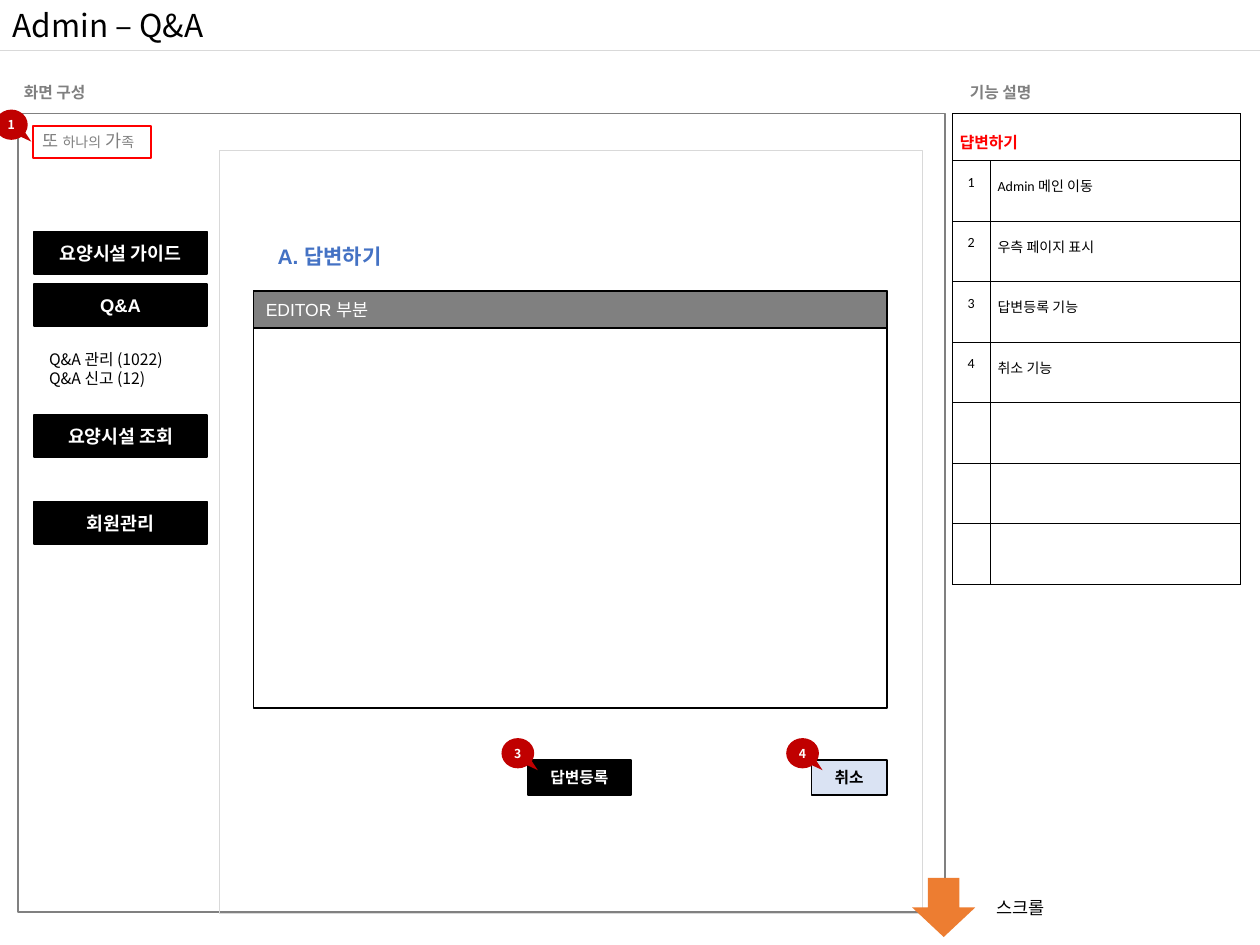
import pptx
import pptx.util
from lxml import etree
from pptx.dml.color import RGBColor
from pptx.enum.shapes import MSO_CONNECTOR, MSO_SHAPE
from pptx.enum.text import MSO_ANCHOR, MSO_AUTO_SIZE, PP_ALIGN
from pptx.oxml.ns import qn

Cm, Pt = pptx.util.Cm, pptx.util.Pt

BLACK = RGBColor(0x00, 0x00, 0x00)
WHITE = RGBColor(0xFF, 0xFF, 0xFF)
GRAY = RGBColor(0x80, 0x80, 0x80)
PALE_GRAY = RGBColor(0xD9, 0xD9, 0xD9)
RED = RGBColor(0xFF, 0x00, 0x00)
DARK_RED = RGBColor(0xC0, 0x00, 0x00)
BLUE = RGBColor(0x44, 0x72, 0xC4)
PALE_BLUE = RGBColor(0xDA, 0xE3, 0xF3)
ORANGE = RGBColor(0xED, 0x7D, 0x31)
KOREAN = "Noto Sans CJK KR"

# Content; all lengths are centimetres
TITLE = "Admin – Q&A"
SECTIONS = [("화면 구성", 0.23), ("기능 설명", 19.3)]
SLOGAN = [("또 ", 10), ("하나의", 8), (" 가", 10), ("족", 8)]
MENU = [("요양시설 가이드", 4.67), ("Q&A", 5.72), ("요양시설 조회", 8.36), ("회원관리", 10.11)]
SUBMENU = ["Q&A 관리 (1022)", "Q&A 신고 (12)"]
BUTTONS = [("답변등록", 10.64, 2.08, BLACK, WHITE), ("취소", 16.36, 1.52, PALE_BLUE, BLACK)]
MARKERS = [("1", -0.1, 2.21), ("3", 10.11, 14.88), ("4", 15.85, 14.88)]
TABLE_HEAD = "댭변하기"
FUNCTIONS = ["Admin 메인 이동", "우측 페이지 표시", "답변등록 기능", "취소 기능", "", "", ""]
EDITOR_LEFT, EDITOR_TOP, EDITOR_WIDTH = 5.11, 5.87, 12.78


def write(frame, paragraphs, size=9, font="Calibri", color=BLACK, bold=False,
          align=PP_ALIGN.LEFT, spacing=None):
    """Fill a text frame; a paragraph is a string or a list of (text, size)."""
    if isinstance(paragraphs, str):
        paragraphs = [paragraphs]
    for index, content in enumerate(paragraphs):
        para = frame.add_paragraph() if index else frame.paragraphs[0]
        para.alignment = align
        if spacing:
            para.line_spacing = spacing
        spans = [(content, size)] if isinstance(content, str) else content
        for words, points in spans:
            span = para.add_run()
            span.text = words
            span.font.size = Pt(points)
            span.font.name = font
            span.font.bold = bold
            span.font.color.rgb = color
            east_asian = etree.SubElement(span.font._element, qn("a:ea"))
            east_asian.set("typeface", KOREAN)


def add_label(page, paragraphs, left, top, width, height, wrap=False, **style):
    box = page.shapes.add_textbox(Cm(left), Cm(top), Cm(width), Cm(height))
    box.text_frame.word_wrap = wrap
    box.text_frame.auto_size = MSO_AUTO_SIZE.SHAPE_TO_FIT_TEXT
    write(box.text_frame, paragraphs, **style)


def add_block(page, left, top, width, height, fill=None, line=None, weight=1,
              kind=MSO_SHAPE.RECTANGLE, text=None, **style):
    shape = page.shapes.add_shape(kind, Cm(left), Cm(top), Cm(width), Cm(height))
    shape.shadow.inherit = False
    if fill is None:
        shape.fill.background()
    else:
        shape.fill.solid()
        shape.fill.fore_color.rgb = fill
    if line is None:
        shape.line.fill.background()
    else:
        shape.line.color.rgb = line
        shape.line.width = Pt(weight)
    if text:
        shape.text_frame.vertical_anchor = MSO_ANCHOR.MIDDLE
        write(shape.text_frame, text, **{"align": PP_ALIGN.CENTER, **style})
    return shape


def format_cell(cell):
    cell.fill.solid()
    cell.fill.fore_color.rgb = WHITE
    cell.margin_left = cell.margin_right = Cm(0.15)
    cell.margin_top = cell.margin_bottom = Cm(0.1)
    properties = cell._tc.get_or_add_tcPr()
    for position, side in enumerate(("lnL", "lnR", "lnT", "lnB")):
        border = etree.Element(qn("a:" + side), w=str(Pt(0.25)))
        solid = etree.SubElement(border, qn("a:solidFill"))
        etree.SubElement(solid, qn("a:srgbClr"), val=str(BLACK))
        properties.insert(position, border)


def add_function_table(page):
    count = len(FUNCTIONS) + 1
    table = page.shapes.add_table(count, 2, Cm(19.2), Cm(2.29), Cm(5.81), Cm(9.48)).table
    table.columns[0].width, table.columns[1].width = Cm(0.76), Cm(5.05)
    for index, row in enumerate(table.rows):
        row.height = Cm(1.22 if index else 0.94)
        for cell in row.cells:
            format_cell(cell)
    head = table.cell(0, 0)
    head.merge(table.cell(0, 1))
    write(head.text_frame, TABLE_HEAD, color=RED, bold=True, spacing=1.5)
    for number, words in enumerate(FUNCTIONS, 1):
        if words:
            write(table.cell(number, 0).text_frame, str(number), size=8,
                  align=PP_ALIGN.CENTER, spacing=1.5)
            write(table.cell(number, 1).text_frame, words, size=8, spacing=1.5)


def main():
    deck = pptx.Presentation()
    deck.slide_width, deck.slide_height = Cm(25.4), Cm(19.05)
    page = deck.slides.add_slide(deck.slide_layouts[5])

    # Title and rule
    title = page.shapes.title
    title.left, title.top, title.width, title.height = Cm(0), Cm(0), Cm(11.25), Cm(1.02)
    title.text_frame.auto_size = MSO_AUTO_SIZE.NONE
    title.text_frame.vertical_anchor = MSO_ANCHOR.MIDDLE
    write(title.text_frame, TITLE, size=18, font=KOREAN)
    rule = page.shapes.add_connector(MSO_CONNECTOR.STRAIGHT, Cm(0), Cm(1.02), Cm(25.4), Cm(1.02))
    rule.line.color.rgb = PALE_GRAY
    rule.line.width = Pt(0.5)
    etree.SubElement(rule._element.spPr, qn("a:effectLst"))

    # Screen frame and section labels
    add_block(page, 0.36, 2.29, 18.69, 16.1, fill=WHITE, line=GRAY)
    for words, left in SECTIONS:
        add_label(page, words, left, 1.55, 1.85, 0.64, color=GRAY, bold=True)
    add_label(page, [SLOGAN], 0.61, 2.49, 2.44, 0.69, font=KOREAN, color=GRAY)
    add_block(page, 0.66, 2.54, 2.39, 0.64, line=RED)
    add_function_table(page)

    # Content panel and scroll hint
    add_block(page, 4.42, 3.02, 14.17, 15.39, line=PALE_GRAY, weight=0.25)
    add_block(page, 18.39, 17.7, 1.27, 1.19, fill=ORANGE, kind=MSO_SHAPE.DOWN_ARROW)
    add_label(page, "스크롤", 19.84, 17.96, 1.57, 0.69, size=10)

    # Editor
    add_block(page, EDITOR_LEFT, 4.72, 3.07, 0.89, fill=WHITE, text="A. 답변하기",
              size=12, font="Arial", color=BLUE, bold=True)
    add_block(page, EDITOR_LEFT, EDITOR_TOP, EDITOR_WIDTH, 8.41, fill=WHITE, line=BLACK)
    add_block(page, EDITOR_LEFT, EDITOR_TOP, EDITOR_WIDTH, 0.74, fill=GRAY, line=BLACK,
              text="EDITOR 부분", size=10, font="Arial", color=WHITE, align=PP_ALIGN.LEFT)
    for words, left, width, fill, color in BUTTONS:
        add_block(page, left, 15.32, width, 0.71, fill=fill, line=BLACK, text=words,
                  font="Arial", color=color, bold=True)

    # Side menu
    for words, top in MENU:
        add_block(page, 0.69, top, 3.48, 0.86, fill=BLACK, line=BLACK, text=words,
                  size=10.5, font="Arial", color=WHITE, bold=True)
    add_label(page, SUBMENU, 0.74, 6.93, 2.9, 1.02, wrap=True, font=KOREAN)

    # Numbered markers
    for number, left, top in MARKERS:
        marker = add_block(page, left, top, 0.66, 0.61, fill=DARK_RED, text=number, size=7,
                           font=KOREAN, color=WHITE, bold=True,
                           kind=MSO_SHAPE.OVAL_CALLOUT)
        marker.adjustments[0], marker.adjustments[1] = 0.61, 0.56
        frame = marker.text_frame
        frame.margin_left = frame.margin_right = frame.margin_top = frame.margin_bottom = 0

    deck.save("out.pptx")


if __name__ == "__main__":
    main()
